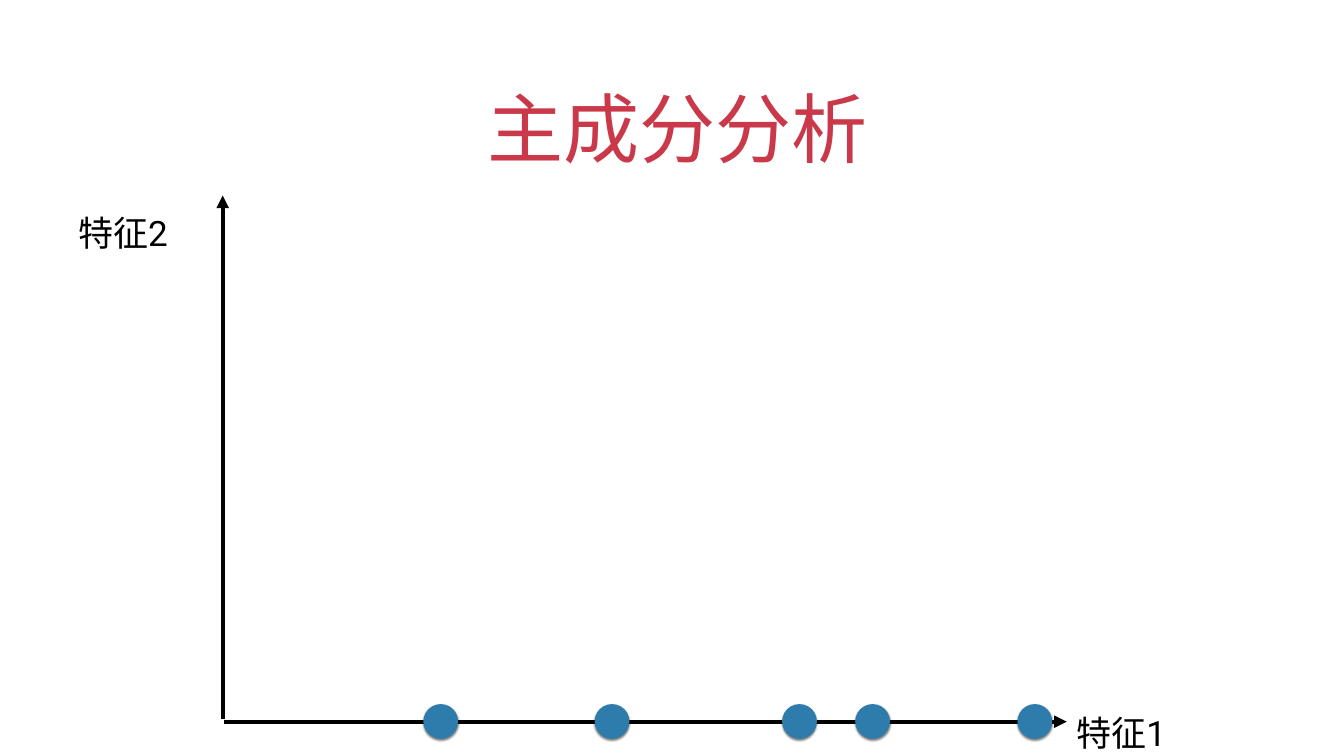
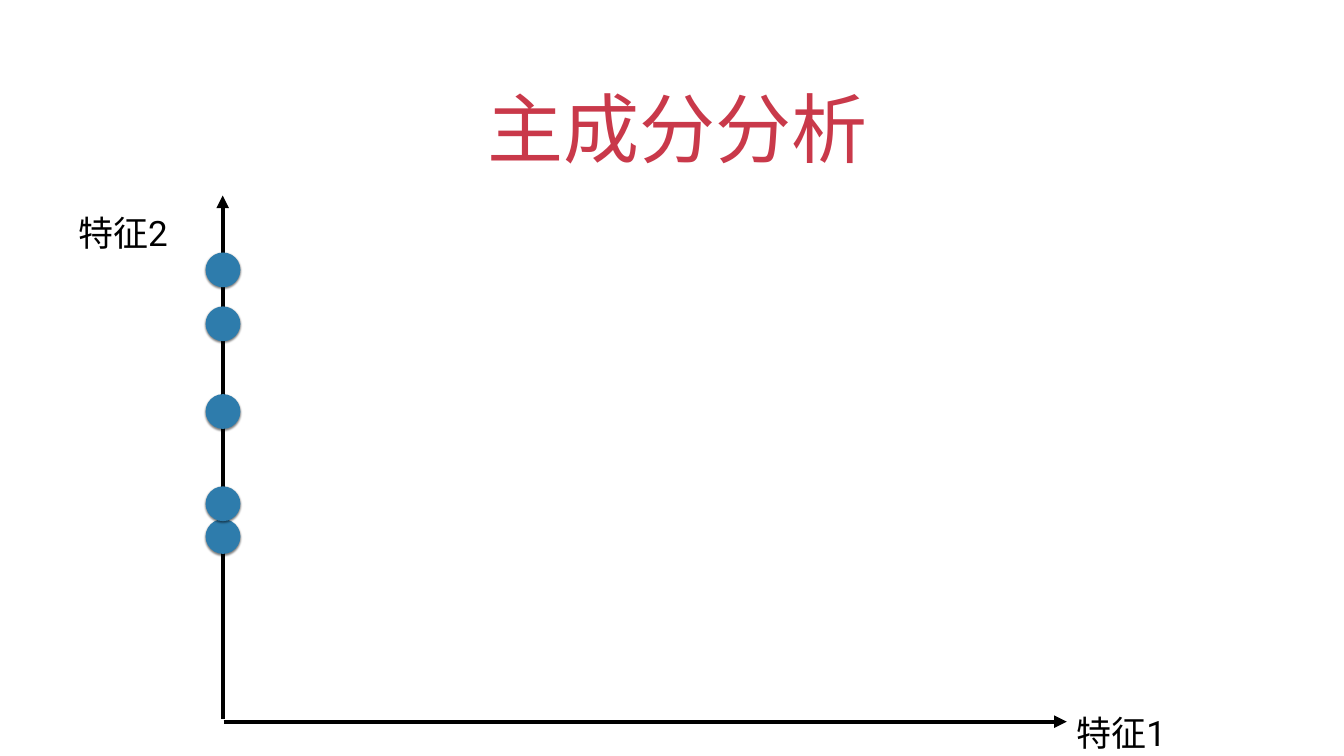
from lxml.etree import SubElement
from pptx import Presentation
from pptx.dml.color import RGBColor
from pptx.enum.shapes import MSO_CONNECTOR, MSO_SHAPE
from pptx.enum.text import MSO_ANCHOR, MSO_AUTO_SIZE, PP_ALIGN
from pptx.oxml.ns import qn
from pptx.util import Inches, Pt

COLORS = {"title": "C9394A", "ink": "000000", "dot": "2E7CAC"}
FONT = "Roboto"
DOT = 0.69
X_AXIS_TOP = 13.97
Y_AXIS_LEFT = 4.08
FEATURE_1 = [8.4, 15.52, 16.97, 20.19, 11.8]
FEATURE_2 = [10.3, 7.82, 5.01, 6.08, 9.65]


def rgb(name):
    """Return a named colour of the palette."""
    return RGBColor.from_string(COLORS[name])


def add_text(s, text, x, y, w, h, size=50, color="ink", align=PP_ALIGN.LEFT,
             anchor=MSO_ANCHOR.MIDDLE, spacing=None, indent=0, grow=False):
    """Add a text box holding one formatted paragraph."""
    tf = s.shapes.add_textbox(Inches(x), Inches(y), Inches(w), Inches(h)).text_frame
    tf.word_wrap = True
    tf.auto_size = MSO_AUTO_SIZE.SHAPE_TO_FIT_TEXT if grow else MSO_AUTO_SIZE.NONE
    tf.vertical_anchor = anchor
    tf.margin_left = tf.margin_right = tf.margin_top = tf.margin_bottom = Inches(0.06)
    p = tf.paragraphs[0]
    p.alignment = align
    p.line_spacing = spacing
    if indent:
        p._p.get_or_add_pPr().set("indent", str(Inches(indent)))
    r = p.add_run()
    r.text = text
    r.font.name = FONT
    r.font.size = Pt(size)
    r.font.color.rgb = rgb(color)
    SubElement(r.font._element, qn("a:ea"), typeface=FONT)


def add_axis(s, x1, y1, x2, y2):
    """Add a black axis line with an arrowhead at its end."""
    axis = s.shapes.add_connector(
        MSO_CONNECTOR.STRAIGHT, Inches(x1), Inches(y1), Inches(x2), Inches(y2))
    axis.line.width = Pt(6)
    axis.line.color.rgb = rgb("ink")
    sp_pr = axis._element.spPr
    SubElement(sp_pr.find(qn("a:ln")), qn("a:tailEnd"), type="triangle")
    SubElement(sp_pr, qn("a:effectLst"))


def add_dot(s, x, y):
    """Add a data point with a soft shadow below it."""
    dot = s.shapes.add_shape(
        MSO_SHAPE.OVAL, Inches(x), Inches(y), Inches(DOT), Inches(DOT))
    dot.fill.solid()
    dot.fill.fore_color.rgb = rgb("dot")
    dot.line.fill.background()
    dot.shadow.inherit = False
    effects = dot._element.spPr.find(qn("a:effectLst"))
    shadow = SubElement(effects, qn("a:outerShdw"), blurRad=str(Pt(3)),
                        dist=str(Pt(2)), dir="5400000", rotWithShape="0")
    color = SubElement(shadow, qn("a:srgbClr"), val=COLORS["ink"])
    SubElement(color, qn("a:alpha"), val="50000")


def add_projection_slide(prs, points):
    """Add a titled pair of axes with the projected points."""
    s = prs.slides.add_slide(prs.slide_layouts[6])
    add_text(s, "主成分分析", 1.94, 1.27, 22.78, 2.22, size=108.6, color="title",
             align=PP_ALIGN.CENTER, anchor=MSO_ANCHOR.BOTTOM, indent=0.24)
    add_axis(s, 4.44, 14.32, 21.17, 14.32)
    add_axis(s, 4.42, 14.27, 4.42, 3.88)
    for label, x, y in [("特征1", 21.3, 13.78), ("特征2", 1.49, 3.87)]:
        add_text(s, label, x, y, 3.88, 1.08, spacing=1.5, grow=True)
    for x, y in points:
        add_dot(s, x, y)


def main():
    """Build and save the presentation."""
    prs = Presentation()
    prs.slide_width = Inches(26.67)
    prs.slide_height = Inches(15)
    add_projection_slide(prs, [(x, X_AXIS_TOP) for x in FEATURE_1])
    add_projection_slide(prs, [(Y_AXIS_LEFT, y) for y in FEATURE_2])
    prs.save("out.pptx")


if __name__ == "__main__":
    main()
